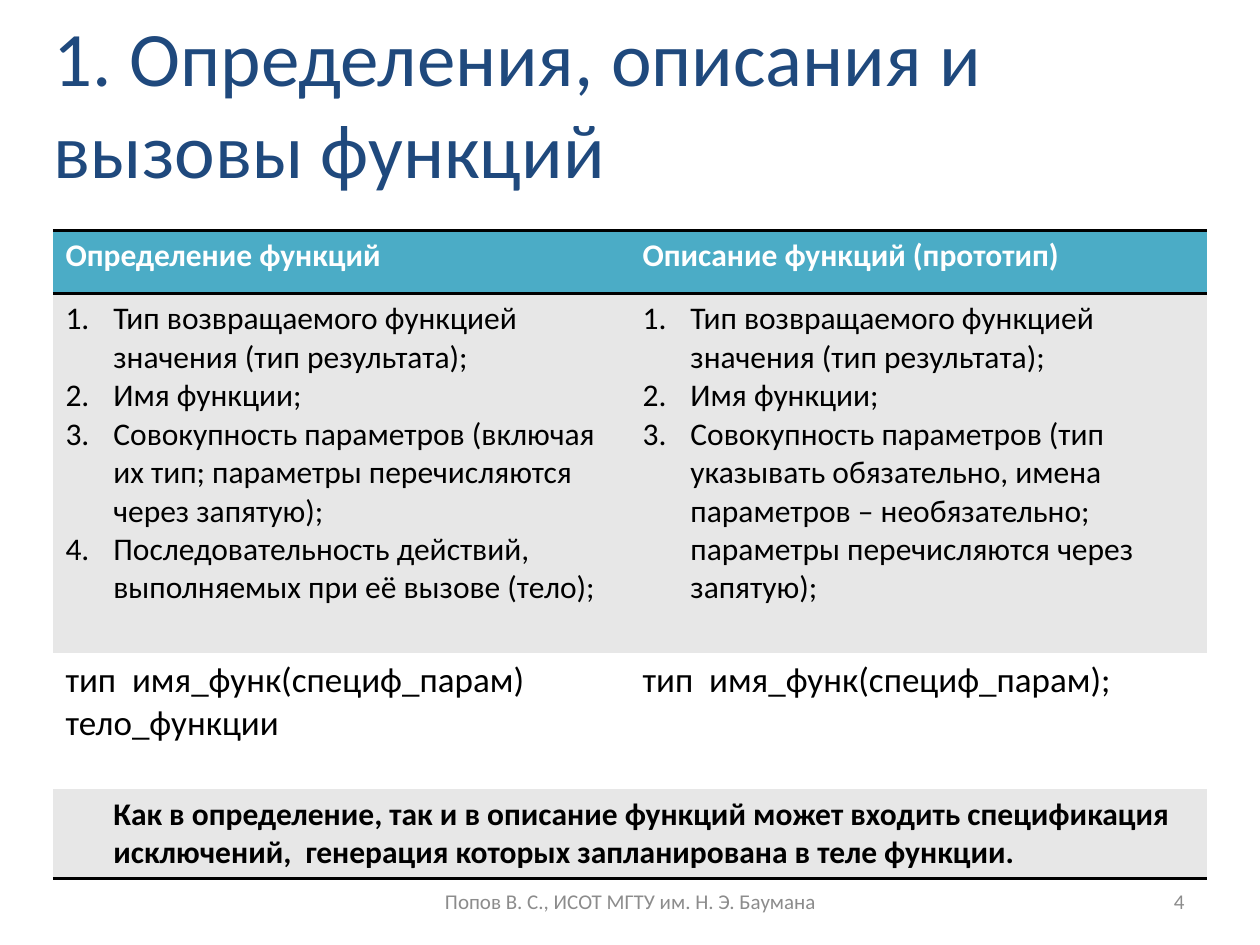
from dataclasses import dataclass

from lxml import etree
from pptx import Presentation
from pptx import util as u
from pptx.dml.color import RGBColor
from pptx.enum import text
from pptx.oxml.ns import qn


@dataclass(frozen=True)
class Theme:
    font: str = "Calibri"
    title: str = "1F497D"
    muted: str = "8C8C8C"
    accent: str = "4BACC6"
    band: str = "E7E7E7"
    light: str = "FFFFFF"
    dark: str = "000000"
    title_size: int = 44
    code_size: int = 20
    body_size: int = 18
    footer_size: int = 12
    rule_width: float = 2
    indent: float = 0.38
    plain_table: str = "{2D5ABB26-0587-4C30-8999-92F81FD0307C}"


class SlideBuilder:
    def __init__(self, presentation, theme):
        self.theme = theme
        self.slide = presentation.slides.add_slide(presentation.slide_layouts[6])

    def set_font(self, font, size, color, bold=False):
        font.name = self.theme.font
        font.size = u.Pt(size)
        font.bold = bold
        font.color.rgb = RGBColor.from_string(color)

    def add_text(self, content, box, size, color, align=text.PP_ALIGN.LEFT):
        shape = self.slide.shapes.add_textbox(*map(u.Inches, box))
        frame = shape.text_frame
        frame.word_wrap = True
        frame.vertical_anchor = text.MSO_ANCHOR.MIDDLE
        paragraph = frame.paragraphs[0]
        paragraph.text = content
        paragraph.alignment = align
        self.set_font(paragraph.font, size, color)

    def add_table(self, left, top, column_widths, row_heights):
        table = self.slide.shapes.add_table(
            len(row_heights), len(column_widths), u.Inches(left), u.Inches(top),
            u.Inches(sum(column_widths)), u.Inches(sum(row_heights))).table
        table.first_row = table.horz_banding = False
        table._tbl.tblPr.find(qn("a:tableStyleId")).text = self.theme.plain_table
        for column, width in zip(table.columns, column_widths):
            column.width = u.Inches(width)
        for row, height in zip(table.rows, row_heights):
            row.height = u.Inches(height)
        return table

    def style_cell(self, cell, fill, edges=()):
        for edge in edges:
            line = etree.SubElement(cell._tc.get_or_add_tcPr(), qn(f"a:{edge}"),
                                    w=str(u.Pt(self.theme.rule_width)))
            solid = etree.SubElement(line, qn("a:solidFill"))
            etree.SubElement(solid, qn("a:srgbClr"), val=self.theme.dark)
        cell.fill.solid()
        cell.fill.fore_color.rgb = RGBColor.from_string(fill)

    def fill_cell(self, cell, lines, size, color, bold=False,
                  indent=0, hanging=False, numbered=False):
        frame = cell.text_frame
        for index, content in enumerate(lines):
            paragraph = frame.add_paragraph() if index else frame.paragraphs[0]
            paragraph.text = content
            self.set_font(paragraph.font, size, color, bold)
            properties = paragraph._p.get_or_add_pPr()
            properties.set("marL", str(u.Inches(indent)))
            properties.set("indent", str(-u.Inches(indent) if hanging else 0))
            if numbered:
                bullet = etree.Element(qn("a:buAutoNum"), type="arabicPeriod")
                properties.insert(0, bullet)


HEADERS = ["Определение функций", "Описание функций (прототип)"]
COMMON_PARTS = ["Тип возвращаемого функцией значения (тип результата);", "Имя функции;"]
PARTS = [
    COMMON_PARTS + [
        "Совокупность параметров (включая их тип; параметры перечисляются через запятую);",
        "Последовательность действий, выполняемых при её вызове (тело);"],
    COMMON_PARTS + [
        "Совокупность параметров (тип указывать обязательно, имена параметров – "
        "необязательно; параметры перечисляются через запятую);"],
]
SYNTAX = [["тип  имя_функ(специф_парам)", "тело_функции"],
          ["тип  имя_функ(специф_парам);"]]
NOTE = ("Как в определение, так и в описание функций может входить спецификация "
        "исключений,  генерация которых запланирована в теле функции.")


def main():
    presentation = Presentation()
    presentation.slide_width = u.Inches(10)
    presentation.slide_height = u.Inches(7.5)
    theme = Theme()
    builder = SlideBuilder(presentation, theme)

    builder.add_text("1. Определения, описания и вызовы функций",
                     (0.33, 0, 8.17, 1.61), theme.title_size, theme.title)
    builder.add_text("4", (7.17, 6.95, 2.33, 0.4), theme.footer_size,
                     theme.muted, text.PP_ALIGN.RIGHT)
    builder.add_text("Попов В. С., ИСОТ МГТУ им. Н. Э. Баумана",
                     (3.42, 6.95, 3.17, 0.4), theme.footer_size,
                     theme.muted, text.PP_ALIGN.CENTER)

    table = builder.add_table(0.42, 1.83, [4.58, 4.58], [0.5, 2.85, 1.08, 0.71])
    row_styles = [(theme.accent, ("lnT", "lnB")), (theme.band, ()),
                  (theme.light, ()), (theme.band, ("lnB",))]
    for row, (fill, edges) in zip(table.rows, row_styles):
        for cell in row.cells:
            builder.style_cell(cell, fill, edges)

    for column in range(2):
        builder.fill_cell(table.cell(0, column), [HEADERS[column]],
                          theme.body_size, theme.light, bold=True)
        builder.fill_cell(table.cell(1, column), PARTS[column], theme.body_size,
                          theme.dark, indent=theme.indent, hanging=True, numbered=True)
        builder.fill_cell(table.cell(2, column), SYNTAX[column], theme.code_size,
                          theme.dark, indent=theme.indent, hanging=True)
    table.cell(3, 0).merge(table.cell(3, 1))
    builder.fill_cell(table.cell(3, 0), [NOTE], theme.body_size, theme.dark,
                      bold=True, indent=theme.indent)

    presentation.save("out.pptx")


if __name__ == "__main__":
    main()
